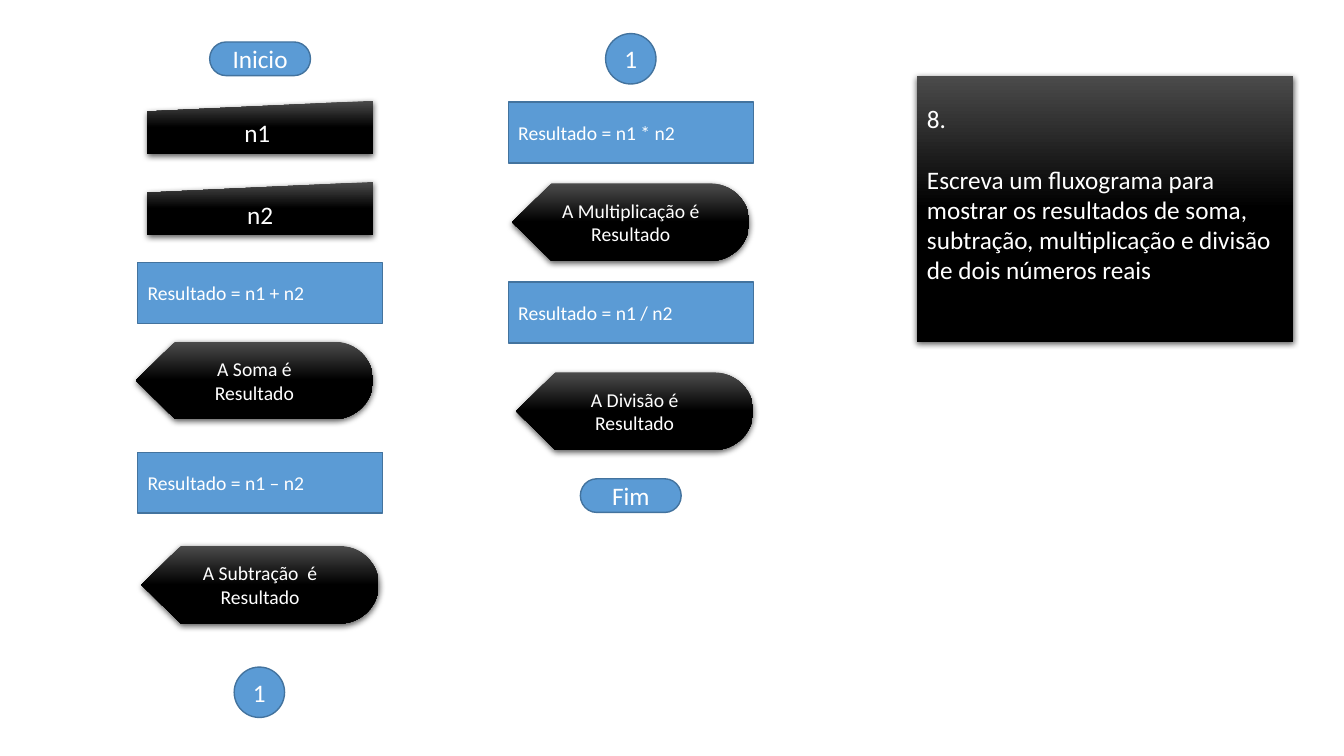
import pptx
import pptx.dml.color
import pptx.enum.shapes
import pptx.enum.text
import pptx.oxml
import pptx.oxml.ns
import pptx.util
from dataclasses import dataclass

Pt = pptx.util.Pt
SHAPE = pptx.enum.shapes.MSO_SHAPE
ALIGN = pptx.enum.text.PP_ALIGN
ANCHOR = pptx.enum.text.MSO_ANCHOR

SHADOW = (
    '<a:outerShdw xmlns:a="http://schemas.openxmlformats.org/drawingml/2006/main"'
    ' blurRad="57150" dist="19050" dir="5400000" algn="ctr" rotWithShape="0">'
    '<a:srgbClr val="000000"><a:alpha val="63000"/></a:srgbClr></a:outerShdw>'
)


@dataclass(frozen=True)
class Theme:
    """Colours, font and type sizes of the deck."""
    blue: str = "5B9BD5"
    outline: str = "43739E"
    grey: str = "4B4B4B"
    black: str = "000000"
    text: str = "FFFFFF"
    font: str = "Calibri"
    large: int = 18
    small: int = 14


THEME = Theme()


@dataclass(frozen=True)
class Step:
    """Look of one kind of flowchart symbol."""
    preset: int
    width: float
    height: float
    size: int
    dark: bool = False
    align: int = ALIGN.CENTER


TERMINATOR = Step(SHAPE.FLOWCHART_TERMINATOR, 72, 24, THEME.large)
CONNECTOR = Step(SHAPE.FLOWCHART_CONNECTOR, 36, 36, THEME.large)
INPUT = Step(SHAPE.FLOWCHART_MANUAL_INPUT, 161, 38, THEME.large, dark=True)
PROCESS = Step(SHAPE.FLOWCHART_PROCESS, 175, 43.5, THEME.small, align=ALIGN.LEFT)
DISPLAY = Step(SHAPE.FLOWCHART_DISPLAY, 169.5, 55.5, THEME.small, dark=True)
PANEL = Step(SHAPE.RECTANGLE, 268.5, 190, THEME.large, dark=True, align=ALIGN.LEFT)

# Each column: centre line, then (symbol, text, top, shift from the centre line)
COLUMNS = [
    (185.8, [
        (TERMINATOR, "Inicio", 30, 0),
        (INPUT, "n1 ", 72, 0),
        (INPUT, "n2", 130, 0),
        (PROCESS, "Resultado = n1 + n2", 187.5, 0),
        (DISPLAY, "A Soma é Resultado", 244, -4),
        (PROCESS, "Resultado = n1 – n2", 323, 0),
        (DISPLAY, "A Subtração  é Resultado", 390, 0),
        (CONNECTOR, "1", 476.5, -0.5),
    ]),
    (450.6, [
        (CONNECTOR, "1", 24, 0),
        (PROCESS, "Resultado = n1 * n2", 73, 0),
        (DISPLAY, "A Multiplicação é Resultado", 131, 0),
        (PROCESS, "Resultado = n1 / n2", 201.5, 0),
        (DISPLAY, "A Divisão é Resultado", 266, 2.8),
        (TERMINATOR, "Fim", 342, 0),
    ]),
]

QUESTION = [
    "8.",
    "Escreva um fluxograma para mostrar os resultados de soma, "
    "subtração, multiplicação e divisão de dois números reais",
]


def assign(target, values):
    """Set every attribute in values on target."""
    for name, value in values.items():
        setattr(target, name, value)


def colour(code):
    """Turn a hex code into a colour."""
    return pptx.dml.color.RGBColor.from_string(code)


class Painter:
    """Draws styled symbols on the current slide."""

    def __init__(self, page, theme):
        """Keep the slide and its style."""
        self.page = page
        self.theme = theme

    def paint_dark(self, box):
        """Give a symbol a grey-to-black gradient and a soft shadow."""
        box.fill.gradient()
        box.fill.gradient_angle = 270
        stops = [(0, self.theme.grey), (0.5, self.theme.black)]
        for stop, (position, code) in zip(box.fill.gradient_stops, stops):
            stop.position = position
            stop.color.rgb = colour(code)
        box.line.fill.background()
        effects = box._element.spPr.find(pptx.oxml.ns.qn("a:effectLst"))
        effects.append(pptx.oxml.parse_xml(SHADOW))

    def paint_blue(self, box):
        """Give a symbol a flat blue fill and a thin outline."""
        box.fill.solid()
        box.fill.fore_color.rgb = colour(self.theme.blue)
        box.line.color.rgb = colour(self.theme.outline)
        box.line.width = Pt(1)

    def label(self, box, texts, step, gap=0):
        """Put one paragraph per text in a symbol, with a gap between them."""
        frame = box.text_frame
        assign(frame, {"word_wrap": True, "vertical_anchor": ANCHOR.MIDDLE})
        for index, text in enumerate(texts):
            para = frame.add_paragraph() if index else frame.paragraphs[0]
            assign(para, {"alignment": step.align, "space_before": Pt(gap if index else 0)})
            span = para.add_run()
            span.text = text
            assign(span.font, {"name": self.theme.font, "size": Pt(step.size)})
            span.font.color.rgb = colour(self.theme.text)

    def symbol(self, step, texts, centre, top, gap=0):
        """Draw a symbol centred on a vertical line."""
        box = self.page.shapes.add_shape(
            step.preset, Pt(centre - step.width / 2), Pt(top), Pt(step.width), Pt(step.height))
        box.shadow.inherit = False
        if step.dark:
            self.paint_dark(box)
        else:
            self.paint_blue(box)
        self.label(box, texts, step, gap)
        return box

    def panel(self, texts, centre, top):
        """Draw the question panel with its text set from the top."""
        box = self.symbol(PANEL, texts, centre, top, gap=22)
        assign(box.text_frame, {"vertical_anchor": ANCHOR.TOP, "margin_top": Pt(19.5)})


def main():
    """Build and save the deck."""
    deck = pptx.Presentation()
    assign(deck, {"slide_width": Pt(960), "slide_height": Pt(540)})
    painter = Painter(deck.slides.add_slide(deck.slide_layouts[6]), THEME)
    painter.panel(QUESTION, 789.3, 54)
    for centre, steps in COLUMNS:
        for step, text, top, shift in steps:
            painter.symbol(step, [text], centre + shift, top)
    deck.save("out.pptx")


main()
